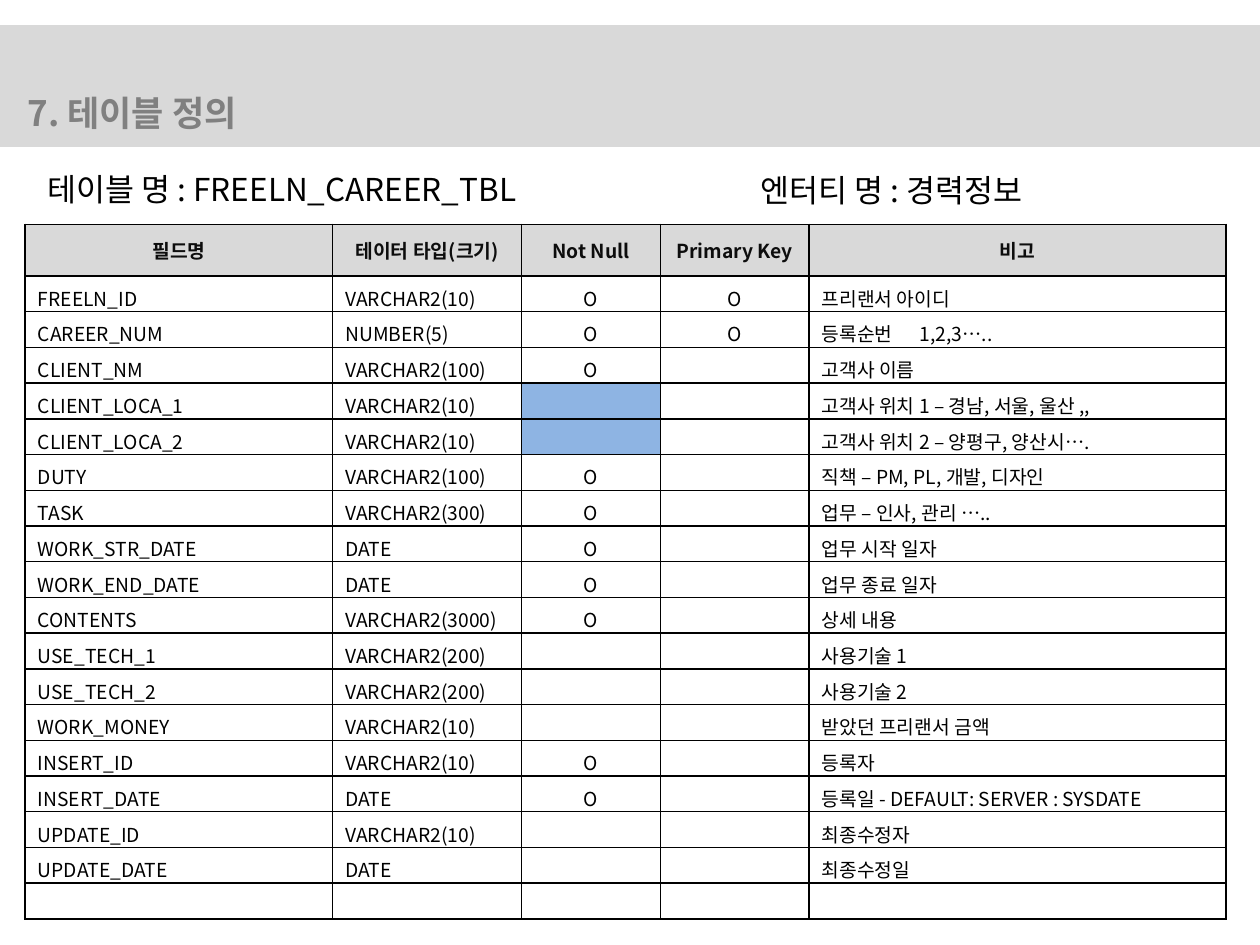
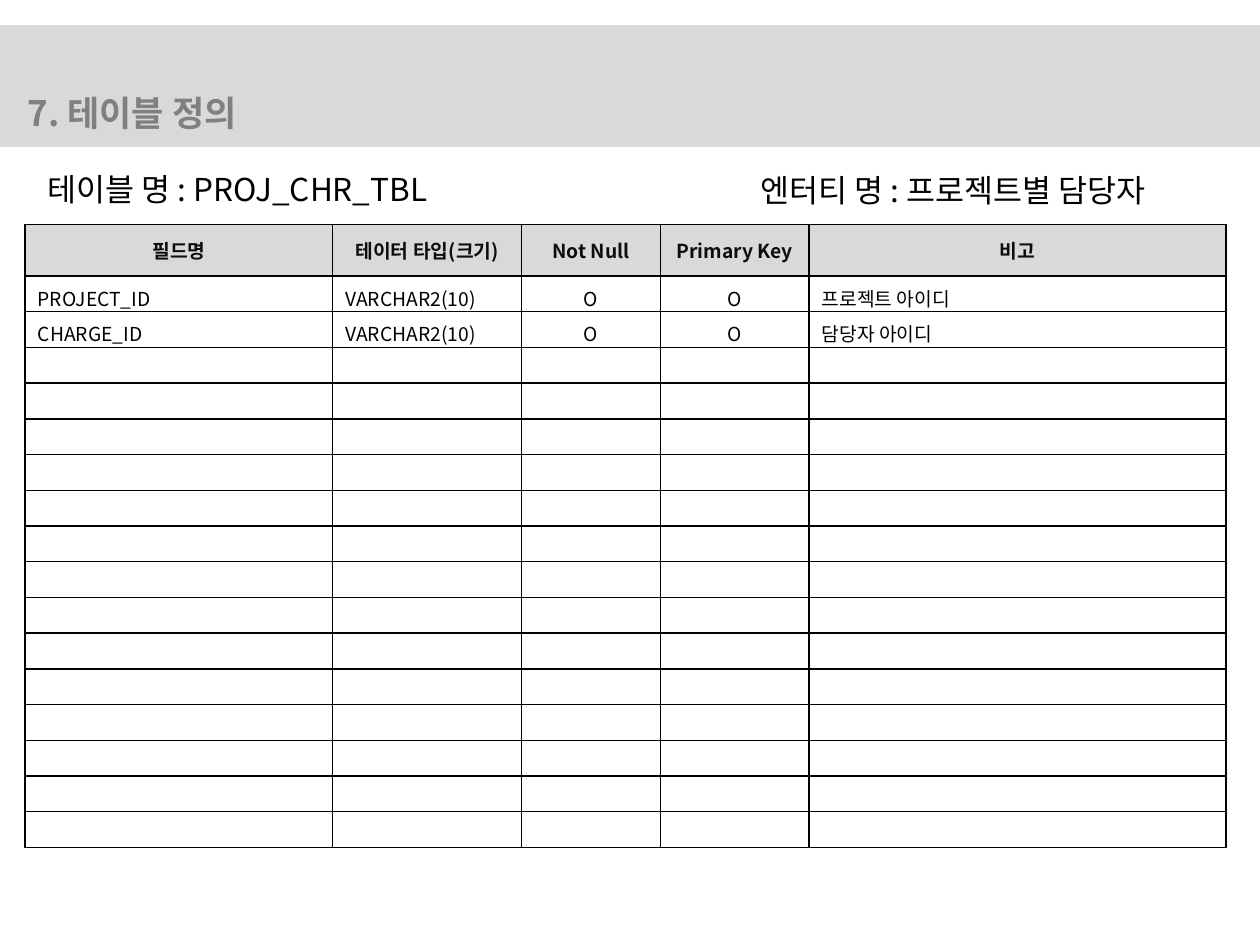
"""Build two table-definition slides."""
from lxml import etree
from pptx import Presentation
from pptx.dml.color import RGBColor
from pptx.enum.shapes import MSO_SHAPE
from pptx.enum.text import MSO_ANCHOR, MSO_AUTO_SIZE, PP_ALIGN
from pptx.oxml.ns import qn
from pptx.util import Pt

RECT = MSO_SHAPE.RECTANGLE
MIDDLE = MSO_ANCHOR.MIDDLE
GROW = MSO_AUTO_SIZE.SHAPE_TO_FIT_TEXT
LEFT, CENTER = PP_ALIGN.LEFT, PP_ALIGN.CENTER

FONT = "Noto Sans CJK KR"
COLORS = {"band": "D9D9D9", "title": "808080", "head": "0D0D0D",
          "text": "000000", "cell": "FFFFFF", "mark": "8EB4E3"}
COL_WIDTHS = [175.7, 108, 79.2, 85, 238.3]
ALIGNS = [LEFT, LEFT, CENTER, CENTER, LEFT]
HEAD_HEIGHT, ROW_HEIGHT = 29.5, 20.43
NOTE_TAB = 56
HEADER = ["필드명", "테이터 타입(크기)", "Not Null", "Primary Key", "비고"]
MARK = "mark"

CAREER = [
    ("FREELN_ID", "VARCHAR2(10)", "O", "O", "프리랜서 아이디"),
    ("CAREER_NUM", "NUMBER(5)", "O", "O", "등록순번\t1,2,3….."),
    ("CLIENT_NM", "VARCHAR2(100)", "O", "", "고객사 이름"),
    ("CLIENT_LOCA_1", "VARCHAR2(10)", MARK, "", "고객사 위치 1 – 경남, 서울, 울산 ,,"),
    ("CLIENT_LOCA_2", "VARCHAR2(10)", MARK, "", "고객사 위치 2 – 양평구, 양산시…."),
    ("DUTY", "VARCHAR2(100)", "O", "", "직책 – PM, PL, 개발, 디자인"),
    ("TASK", "VARCHAR2(300)", "O", "", "업무 – 인사, 관리 ….."),
    ("WORK_STR_DATE", "DATE", "O", "", "업무 시작 일자"),
    ("WORK_END_DATE", "DATE", "O", "", "업무 종료 일자"),
    ("CONTENTS", "VARCHAR2(3000)", "O", "", "상세 내용"),
    ("USE_TECH_1", "VARCHAR2(200)", "", "", "사용기술 1"),
    ("USE_TECH_2", "VARCHAR2(200)", "", "", "사용기술 2"),
    ("WORK_MONEY", "VARCHAR2(10)", "", "", "받았던 프리랜서 금액"),
    ("INSERT_ID", "VARCHAR2(10)", "O", "", "등록자"),
    ("INSERT_DATE", "DATE", "O", "", "등록일 - DEFAULT: SERVER : SYSDATE"),
    ("UPDATE_ID", "VARCHAR2(10)", "", "", "최종수정자"),
    ("UPDATE_DATE", "DATE", "", "", "최종수정일"),
]
CHARGE = [
    ("PROJECT_ID", "VARCHAR2(10)", "O", "O", "프로젝트 아이디"),
    ("CHARGE_ID", "VARCHAR2(10)", "O", "O", "담당자 아이디"),
]


class Deck:
    """Hold the shared style and the current slide."""

    def __init__(self):
        self.prs = Presentation()
        self.prs.slide_width, self.prs.slide_height = Pt(720), Pt(540)

    def slide(self):
        self.s = self.prs.slides.add_slide(self.prs.slide_layouts[6])
        self.band()
        self.text("7. 테이블 정의", 8.6, 49, 272, 31.5, 20, "title", True)

    def font(self, p, size, color, bold=False):
        f = p.font
        f.size, f.bold, f.name = Pt(size), bold, FONT
        f.color.rgb = RGBColor.from_string(COLORS[color])
        etree.SubElement(f._element, qn("a:ea"), typeface=FONT)

    def band(self):
        sp = self.s.shapes.add_shape(RECT, 0, Pt(15.1), Pt(720), Pt(67.7))
        sp.shadow.inherit = False
        color = RGBColor.from_string(COLORS["band"])
        sp.fill.solid()
        sp.fill.fore_color.rgb = color
        sp.line.color.rgb = color
        sp.line.width = Pt(2)

    def text(self, text, x, y, w, h, size=18, color="text", bold=False):
        tf = self.s.shapes.add_textbox(Pt(x), Pt(y), Pt(w), Pt(h)).text_frame
        tf.word_wrap, tf.auto_size = True, GROW
        p = tf.paragraphs[0]
        p.text = text
        self.font(p, size, color, bold)

    def borders(self, cell):
        pr = cell._tc.get_or_add_tcPr()
        for i, side in enumerate(("lnL", "lnR", "lnT", "lnB")):
            ln = etree.Element(qn(f"a:{side}"), w=str(Pt(1)))
            fill = etree.SubElement(ln, qn("a:solidFill"))
            etree.SubElement(fill, qn("a:srgbClr"), val=COLORS["text"])
            pr.insert(i, ln)

    def cell(self, cell, text, align, head):
        marked = text == MARK
        fill = "band" if head else "mark" if marked else "cell"
        cell.fill.solid()
        cell.fill.fore_color.rgb = RGBColor.from_string(COLORS[fill])
        cell.vertical_anchor = MIDDLE
        if not head:
            cell.margin_top, cell.margin_bottom = Pt(4.5), 0
        self.borders(cell)
        p = cell.text_frame.paragraphs[0]
        p.alignment = CENTER if head else align
        if "\t" in text:
            tabs = etree.SubElement(p._p.get_or_add_pPr(), qn("a:tabLst"))
            etree.SubElement(tabs, qn("a:tab"), pos=str(Pt(NOTE_TAB)), algn="l")
        if text and not marked:
            p.text = text
        else:
            etree.SubElement(p._p, qn("a:endParaRPr"), sz="1100")
        self.font(p, 11, "head" if head else "text", head)

    def table(self, fields, blanks):
        rows = [HEADER, *fields] + [[""] * len(HEADER)] * blanks
        height = HEAD_HEIGHT + ROW_HEIGHT * (len(rows) - 1)
        table = self.s.shapes.add_table(len(rows), len(HEADER), Pt(14.4), Pt(128.2),
                                        Pt(sum(COL_WIDTHS)), Pt(height)).table
        for col, width in zip(table.columns, COL_WIDTHS):
            col.width = Pt(width)
        for r, row in enumerate(rows):
            table.rows[r].height = Pt(ROW_HEIGHT if r else HEAD_HEIGHT)
            for c, text in enumerate(row):
                self.cell(table.cell(r, c), text, ALIGNS[c], r == 0)

    def definition(self, name, entity, fields, blanks, name_width):
        self.slide()
        self.table(fields, blanks)
        self.text(f"테이블 명 : {name}", 20.2, 93.6, name_width, 29)
        self.text(f"엔터티 명 : {entity}", 427.7, 94.3, 272, 29)


deck = Deck()
deck.definition("FREELN_CAREER_TBL", "경력정보", CAREER, 1, 363)
deck.definition("PROJ_CHR_TBL", "프로젝트별 담당자", CHARGE, 14, 272)
deck.prs.save("out.pptx")
